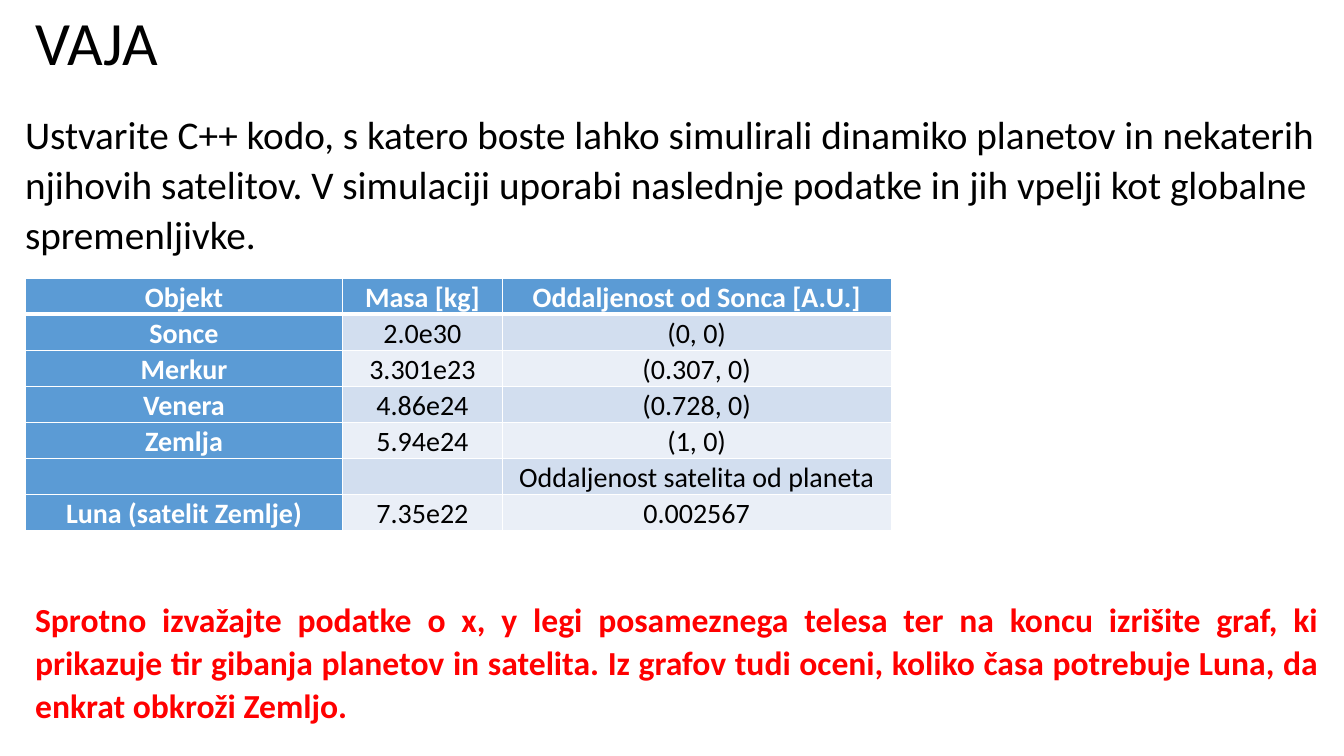
"""Build the VAJA exercise slide on simulating the planets."""
from lxml import etree
from pptx import Presentation
from pptx.dml.color import RGBColor
from pptx.enum import text as en
from pptx.oxml import ns
from pptx.util import Inches, Pt

BLACK = RGBColor(0x00, 0x00, 0x00)
WHITE = RGBColor(0xFF, 0xFF, 0xFF)
RED = RGBColor(0xFF, 0x00, 0x00)
BLUE = RGBColor(0x5B, 0x9B, 0xD5)
BANDS = (RGBColor(0xEA, 0xEF, 0xF7), RGBColor(0xD2, 0xDE, 0xEF))

TASK = ("Ustvarite C++ kodo, s katero boste lahko simulirali dinamiko planetov in "
        "nekaterih njihovih satelitov. V simulaciji uporabi naslednje podatke in jih "
        "vpelji kot globalne spremenljivke.")
NOTE = ("Sprotno izvažajte podatke o x, y legi posameznega telesa ter na koncu izrišite "
        "graf, ki prikazuje tir gibanja planetov in satelita. Iz grafov tudi oceni, "
        "koliko časa potrebuje Luna, da enkrat obkroži Zemljo.")
COLS = (3.15, 1.58, 3.86)
ROWS = (
    ("Objekt", "Masa [kg]", "Oddaljenost od Sonca [A.U.]"),
    ("Sonce", "2.0e30", "(0, 0)"),
    ("Merkur", "3.301e23", "(0.307, 0)"),
    ("Venera", "4.86e24", "(0.728, 0)"),
    ("Zemlja", "5.94e24", "(1, 0)"),
    ("", "", "Oddaljenost satelita od planeta"),
    ("Luna (satelit Zemlje)", "7.35e22", "0.002567"),
)


def write(frame, words, size, color=BLACK, bold=False, align=en.PP_ALIGN.LEFT,
          line=1.07, after=0):
    """Put formatted words in the first paragraph of a text frame."""
    par = frame.paragraphs[0]
    par.alignment = align
    par.line_spacing = line
    par.space_after = Pt(after)
    if words:
        run = par.add_run()
        run.text = words
        font = run.font
        font.name, font.size, font.bold = "Calibri", Pt(size), bold
        font.color.rgb = color


def add_text(slide, box, words, anchor=en.MSO_ANCHOR.TOP, **style):
    """Add a wrapped text box at the given place."""
    frame = slide.shapes.add_textbox(*map(Inches, box)).text_frame
    frame.word_wrap = True
    frame.vertical_anchor = anchor
    write(frame, words, **style)


def edge(cell, side, width):
    """Draw a white border on one side of a cell."""
    props = cell._tc.get_or_add_tcPr()
    rule = etree.SubElement(props, ns.qn(f"a:ln{side}"), w=str(Pt(width)))
    fill = etree.SubElement(rule, ns.qn("a:solidFill"))
    etree.SubElement(fill, ns.qn("a:srgbClr"), val=str(WHITE))


def add_cell(cell, words, row, col):
    """Style and fill one cell by its place in the table."""
    cell.margin_left = cell.margin_right = Inches(0.13)
    cell.margin_top = cell.margin_bottom = 0
    for side in "LRTB":
        thick = (row, side) in ((0, "B"), (1, "T"))
        edge(cell, side, 3 if thick else 1)
    head = row == 0 or col == 0
    cell.fill.solid()
    cell.fill.fore_color.rgb = BLUE if head else BANDS[row % 2]
    write(cell.text_frame, words, 20, color=WHITE if head else BLACK, bold=head,
          align=en.PP_ALIGN.CENTER)


def add_grid(slide, left, top, high):
    """Add the table of bodies, masses and distances."""
    place = map(Inches, (left, top, sum(COLS), high * len(ROWS)))
    grid = slide.shapes.add_table(len(ROWS), len(COLS), *place).table
    for col, width in enumerate(COLS):
        grid.columns[col].width = Inches(width)
    for row, line in enumerate(ROWS):
        for col, words in enumerate(line):
            add_cell(grid.cell(row, col), words, row, col)


def main():
    """Build and save the slide."""
    deck = Presentation()
    deck.slide_width, deck.slide_height = Inches(13.33), Inches(7.5)
    slide = deck.slides.add_slide(deck.slide_layouts[6])
    add_text(slide, (0.25, -0.27, 11.5, 1.45), "VAJA", en.MSO_ANCHOR.MIDDLE,
             size=44, line=0.9)
    add_text(slide, (0.15, 1.01, 13.03, 1.61), TASK, size=28, after=8)
    add_grid(slide, 0.25, 2.76, 0.33)
    add_text(slide, (0.25, 5.86, 12.93, 1.4), NOTE, size=24, color=RED, bold=True,
             align=en.PP_ALIGN.JUSTIFY, after=8)
    deck.save("out.pptx")


if __name__ == "__main__":
    main()
